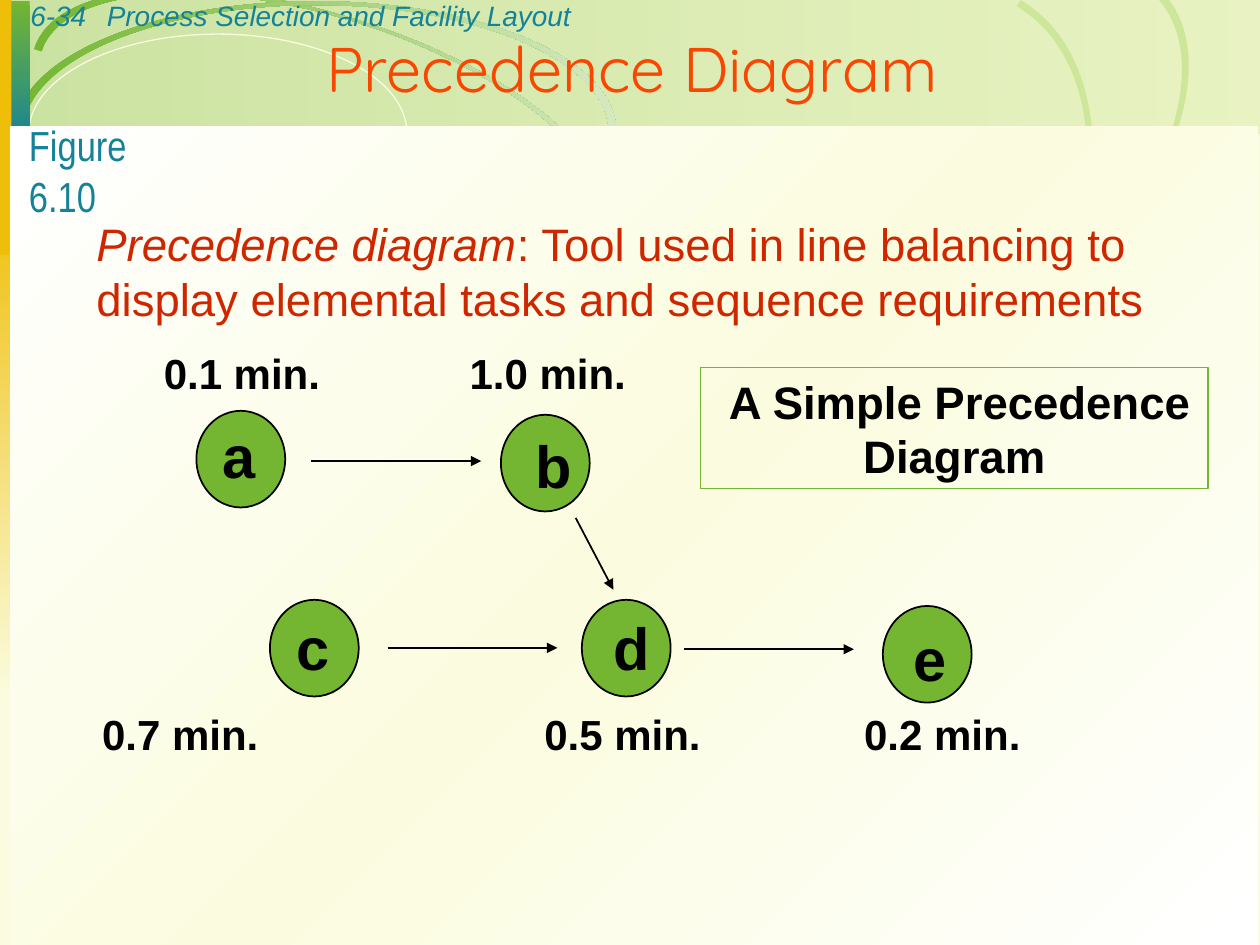
from dataclasses import dataclass
from typing import Optional, Union

from lxml.etree import SubElement
from pptx import Presentation
from pptx.dml.color import RGBColor
from pptx.enum.shapes import MSO_CONNECTOR as Link, MSO_SHAPE as Kind
from pptx.enum.text import MSO_ANCHOR as Anchor, MSO_AUTO_SIZE as Fit, PP_ALIGN as Align
from pptx.oxml.ns import qn
from pptx.util import Pt

GREEN = RGBColor(0x74, 0xB6, 0x32)
LIME = RGBColor(0xBC, 0xDD, 0x7B)
PALE = RGBColor(0xD5, 0xE9, 0xC1)
LEAF = RGBColor(0xCD, 0xE6, 0x9A)
CREAM = RGBColor(0xFB, 0xFC, 0xDF)
GOLD = RGBColor(0xEF, 0xBE, 0x09)
TEAL = RGBColor(0x14, 0x82, 0x98)
RED = RGBColor(0xCE, 0x27, 0x00)
ORANGE = RGBColor(0xF8, 0x47, 0x00)
BLACK = RGBColor(0, 0, 0)
WHITE = RGBColor(0xFF, 0xFF, 0xFF)


@dataclass
class Stop:
    pos: int
    color: RGBColor
    alpha: int = 100


@dataclass
class Blend:
    stops: list[Stop]
    angle: int = 0


Fill = Optional[Union[RGBColor, Blend]]


@dataclass
class Bar:
    box: tuple
    fill: Fill
    kind: Kind = Kind.RECTANGLE
    line: Optional[RGBColor] = None
    width: float = 1


@dataclass
class Band:
    outer: list[tuple]
    inner: list[tuple]
    fill: Fill


@dataclass
class Node:
    name: str
    spot: tuple
    mark: tuple
    time: str
    label: tuple


FADE = Blend([Stop(0, GREEN), Stop(100, PALE)])
HEAD = Bar((0.5, 0, 719.5, 76.5), Blend([Stop(0, GREEN, 36), Stop(100, LIME, 29)]))
RING = Bar((16.5, 19.5, 216, 112.5), None, Kind.OVAL, CREAM, 0.75)
SIDES = [
    Bar((0, 111.5, 16, 288.5), Blend([Stop(0, GOLD), Stop(100, CREAM)], 90)),
    Bar((0.5, 0.5, 16.5, 82), Blend([Stop(0, GREEN), Stop(100, TEAL)], 90)),
    Bar((0, 0, 6.5, 145.5), GOLD),
    Bar((5.75, 72.25, 713, 467.75), Blend([Stop(0, WHITE), Stop(50, CREAM), Stop(100, WHITE)], 45)),
]
BANDS = [
    Band([(23.8, 29.5), (35.3, -7.2), (115.9, -14.4), (204.5, 13), (292.3, 41), (354.2, 92.9), (342.7, 129.6)],
         [(347, 131), (359.3, 93.6), (295.2, 39.6), (204.5, 11.5), (114.5, -17.3), (31, -10.1), (19.4, 28.1)], FADE),
    Band([(412.6, 221.8), (445.7, 259.2), (528.5, 239.8), (597.6, 178.6), (666, 116.6), (694.8, 36.7), (661.7, -0.7)],
         [(665.3, -3.6), (699.1, 34.6), (669.6, 116.6), (599, 180), (528.5, 243.4), (443.5, 263.5), (409, 225.4)], LEAF),
    Band([(410.4, 290.9), (461.5, 321.1), (540.7, 281.5), (588.2, 202.3), (635, 123.1), (632.2, 33.8), (581, 3.6)],
         [(583.2, 0), (635.8, 31), (638.6, 122.4), (590.4, 203.8), (542.2, 285.1), (460.1, 326.2), (408.2, 295.2)], LEAF),
    Band([(13.7, 74.9), (13.7, 35.3), (88.6, 2.9), (180.7, 2.9), (272.9, 2.9), (347.8, 35.3), (347.8, 74.9)],
         [(352.1, 74.9), (352.1, 33.8), (275.8, 0.7), (180.7, 0.7), (85.7, 0.7), (8.6, 33.8), (8.6, 74.9)], FADE),
]
NODES = [
    Node("a", (112.25, 234.75), (120, 236), "0.1 min.", (86.5, 195)),
    Node("b", (286.25, 237), (299, 241.5), "1.0 min.", (261.25, 195)),
    Node("c", (154.25, 342.75), (162.25, 345.5), "0.7 min.", (51.25, 401.25)),
    Node("d", (332.5, 342.75), (343.25, 345.5), "0.5 min.", (304, 401.25)),
    Node("e", (504.5, 346.25), (515, 352), "0.2 min.", (486.75, 401.25)),
]
ARROWS = [
    (178, 263.5, 275, 263.5),
    (221.5, 370.25, 318.5, 370.25),
    (391, 371, 488, 371),
    (329, 296, 350.5, 337),
]


def points(box: tuple) -> list:
    return [Pt(n) for n in box]


def paint(shape, fill: Fill) -> None:
    shape.shadow.inherit = False
    if fill is None:
        shape.fill.background()
    elif isinstance(fill, Blend):
        shape.fill.gradient()
        shape.fill.gradient_angle = -fill.angle % 360
        stops = next(shape._element.iter(qn("a:gsLst")))
        stops.clear()
        for stop in fill.stops:
            node = SubElement(stops, qn("a:gs"), pos=str(stop.pos * 1000))
            color = SubElement(node, qn("a:srgbClr"), val=str(stop.color))
            if stop.alpha < 100:
                SubElement(color, qn("a:alpha"), val=str(stop.alpha * 1000))
    else:
        shape.fill.solid()
        shape.fill.fore_color.rgb = fill


def draw_bar(slide, bar: Bar):
    shape = slide.shapes.add_shape(bar.kind, *points(bar.box))
    paint(shape, bar.fill)
    if bar.line is None:
        shape.line.fill.background()
    else:
        shape.line.color.rgb = bar.line
        shape.line.width = Pt(bar.width)
    return shape


def bend(legs: list) -> None:
    for i in range(0, len(legs), 3):
        curve = legs[i].getparent().makeelement(qn("a:cubicBezTo"))
        legs[i].addprevious(curve)
        for leg in legs[i:i + 3]:
            curve.append(leg[0])
            leg.getparent().remove(leg)


def draw_band(slide, band: Band) -> None:
    first, *rest = [(Pt(x), Pt(y)) for x, y in band.outer + band.inner]
    pen = slide.shapes.build_freeform(*first)
    pen.add_line_segments(rest, close=True)
    shape = pen.convert_to_shape()
    legs = list(shape._element.iter(qn("a:lnTo")))
    turn = len(band.outer)
    bend(legs[:turn - 1])
    bend(legs[turn:turn + len(band.inner) - 1])
    paint(shape, band.fill)
    shape.line.fill.background()


def write(shape, text: str, *, size: float, color: RGBColor = BLACK, font: str = "Arial",
          bold: bool = False, slant: bool = False, lead: str = "", wrap: bool = True,
          align: Align = Align.LEFT, anchor: Anchor = Anchor.TOP) -> None:
    frame = shape.text_frame
    frame.word_wrap = wrap
    frame.auto_size = Fit.NONE if wrap else Fit.SHAPE_TO_FIT_TEXT
    frame.vertical_anchor = anchor
    for i, line in enumerate(text.split("\n")):
        para = frame.add_paragraph() if i else frame.paragraphs[0]
        para.alignment = align
        for part, tilt in ((lead if i == 0 else "", True), (line, slant)):
            if part:
                run = para.add_run()
                run.text = part
                run.font.name, run.font.size = font, Pt(size)
                run.font.bold, run.font.italic = bold, tilt
                run.font.color.rgb = color


def label(slide, box: tuple, text: str, **form) -> None:
    write(slide.shapes.add_textbox(*points(box)), text, **form)


def draw_arrow(slide, ends: tuple) -> None:
    arrow = slide.shapes.add_connector(Link.STRAIGHT, *points(ends))
    arrow.line.color.rgb = BLACK
    arrow.line.width = Pt(1)
    SubElement(arrow.line._get_or_add_ln(), qn("a:tailEnd"), type="triangle")
    SubElement(arrow._element.spPr, qn("a:effectLst"))


def draw_node(slide, node: Node) -> None:
    draw_bar(slide, Bar((*node.spot, 50.75, 55.25), GREEN, Kind.OVAL, BLACK))
    label(slide, (*node.mark, 34, 47.5), node.name, size=34, bold=True, wrap=False)
    label(slide, (*node.label, 103.75, 36), node.time, size=24, bold=True, wrap=False)


def main() -> None:
    deck = Presentation()
    deck.slide_width, deck.slide_height = Pt(720), Pt(540)
    slide = deck.slides.add_slide(deck.slide_layouts[5])
    slide.background.fill.solid()
    slide.background.fill.fore_color.rgb = CREAM

    draw_bar(slide, HEAD)
    draw_band(slide, BANDS[0])
    draw_bar(slide, RING)
    for band in BANDS[1:]:
        draw_band(slide, band)
    for bar in SIDES:
        draw_bar(slide, bar)

    label(slide, (10.25, -4.5, 60, 26.5), "6-34", size=16, color=TEAL, slant=True)
    label(slide, (54, -4.5, 612, 26.5), "Process Selection and Facility Layout",
          size=16, color=TEAL, slant=True)
    label(slide, (48, 120, 660, 69),
          ": Tool used in line balancing to display elemental tasks and sequence requirements",
          lead="Precedence diagram", size=26, color=RED)
    frame = draw_bar(slide, Bar((400.25, 210, 290.25, 69.25), None, line=GREEN))
    write(frame, " A Simple Precedence\nDiagram", size=26, bold=True, align=Align.CENTER)
    for node in NODES:
        draw_node(slide, node)
    for ends in ARROWS:
        draw_arrow(slide, ends)
    label(slide, (9.5, 65, 113.5, 36), "Figure 6.10", size=24, color=TEAL,
          font="Arial Narrow", wrap=False)

    title = slide.shapes.title
    title.left, title.top, title.width, title.height = points((2.25, 24.5, 718, 28))
    write(title, "Precedence Diagram", size=36, color=ORANGE, font="Quicksand",
          align=Align.CENTER, anchor=Anchor.MIDDLE)
    slide.shapes._spTree.append(title._element)
    deck.save("out.pptx")


if __name__ == "__main__":
    main()
